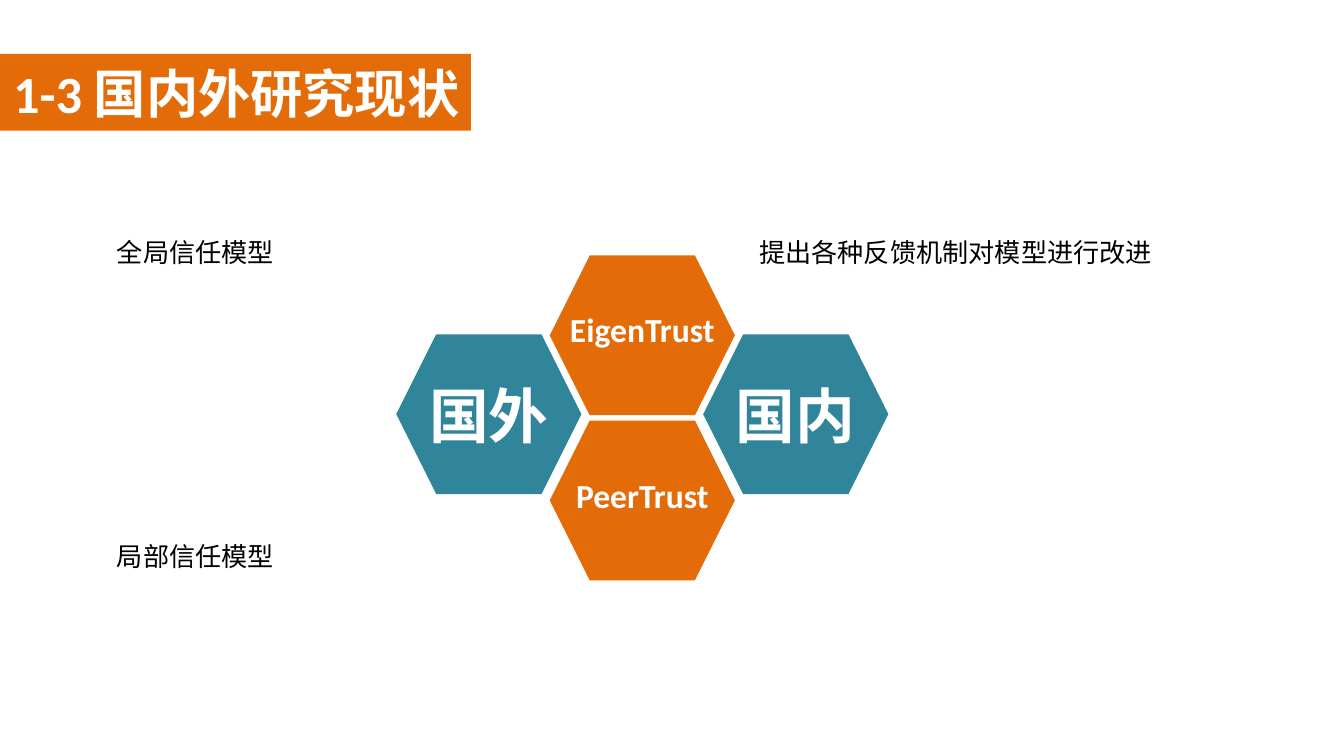
from dataclasses import dataclass

from pptx import Presentation
from pptx.dml.color import RGBColor
from pptx.enum.shapes import MSO_SHAPE as Shape
from pptx.enum.text import MSO_ANCHOR as Anchor, PP_ALIGN as Align
from pptx.util import Cm, Pt


@dataclass(frozen=True)
class Theme:
    font: str = "Calibri"
    orange: str = "E36C09"
    teal: str = "31859B"
    white: str = "FFFFFF"
    black: str = "000000"
    title_size: int = 28
    region_size: int = 32
    model_size: int = 18
    note_size: int = 14


THEME = Theme()
HEX_WIDTH, HEX_HEIGHT = 3.5, 3.02
CENTER_LEFT, COLUMN_STEP = 10.39, 2.9


def add_block(page, kind, left, top, width, height, color):
    block = page.shapes.add_shape(kind, Cm(left), Cm(top), Cm(width), Cm(height))
    block.shadow.inherit = False
    block.fill.solid()
    block.fill.fore_color.rgb = RGBColor.from_string(color)
    block.line.fill.background()


def add_text(page, text, left, top, width, height, size, color,
             bold=False, align=Align.LEFT, wrap=True):
    box = page.shapes.add_textbox(Cm(left), Cm(top), Cm(width), Cm(height))
    frame = box.text_frame
    frame.word_wrap = wrap
    frame.vertical_anchor = Anchor.MIDDLE
    para = frame.paragraphs[0]
    para.text = text
    para.alignment = align
    para.font.name = THEME.font
    para.font.size = Pt(size)
    para.font.bold = bold
    para.font.color.rgb = RGBColor.from_string(color)


def add_title(page, text):
    add_block(page, Shape.RECTANGLE, 0, 1.02, 8.9, 1.45, THEME.orange)
    add_text(page, text, 0, 1.02, 13.3, 1.45, THEME.title_size, THEME.white, bold=True)


def add_hexagon(page, text, column, top, color, size, label_width, label_height, rise):
    left = CENTER_LEFT + column * COLUMN_STEP
    add_block(page, Shape.HEXAGON, left, top, HEX_WIDTH, HEX_HEIGHT, color)
    label_left = left + (HEX_WIDTH - label_width) / 2
    label_top = top + (HEX_HEIGHT - label_height) / 2 - rise
    add_text(page, text, label_left, label_top, label_width, label_height, size,
             THEME.white, bold=True, align=Align.CENTER, wrap=False)


def add_note(page, text, left, top):
    add_text(page, text, left, top, 9.35, 0.86, THEME.note_size, THEME.black)


def main():
    deck = Presentation()
    deck.slide_width, deck.slide_height = Cm(25.4), Cm(14.29)
    page = deck.slides.add_slide(deck.slide_layouts[6])

    add_title(page, "1-3 国内外研究现状")

    for text, top, width in (("EigenTrust", 4.83, 3.28), ("PeerTrust", 7.95, 3.05)):
        add_hexagon(page, text, 0, top, THEME.orange, THEME.model_size, width, 1.02, 0.11)
    for text, column in (("国外", -1), ("国内", 1)):
        add_hexagon(page, text, column, 6.32, THEME.teal, THEME.region_size, 2.77, 1.63, 0)

    for text, left, top in (
        ("全局信任模型", 1.96, 4.34),
        ("局部信任模型", 1.96, 10.08),
        ("提出各种反馈机制对模型进行改进", 14.1, 4.34),
    ):
        add_note(page, text, left, top)

    deck.save("out.pptx")


if __name__ == "__main__":
    main()
